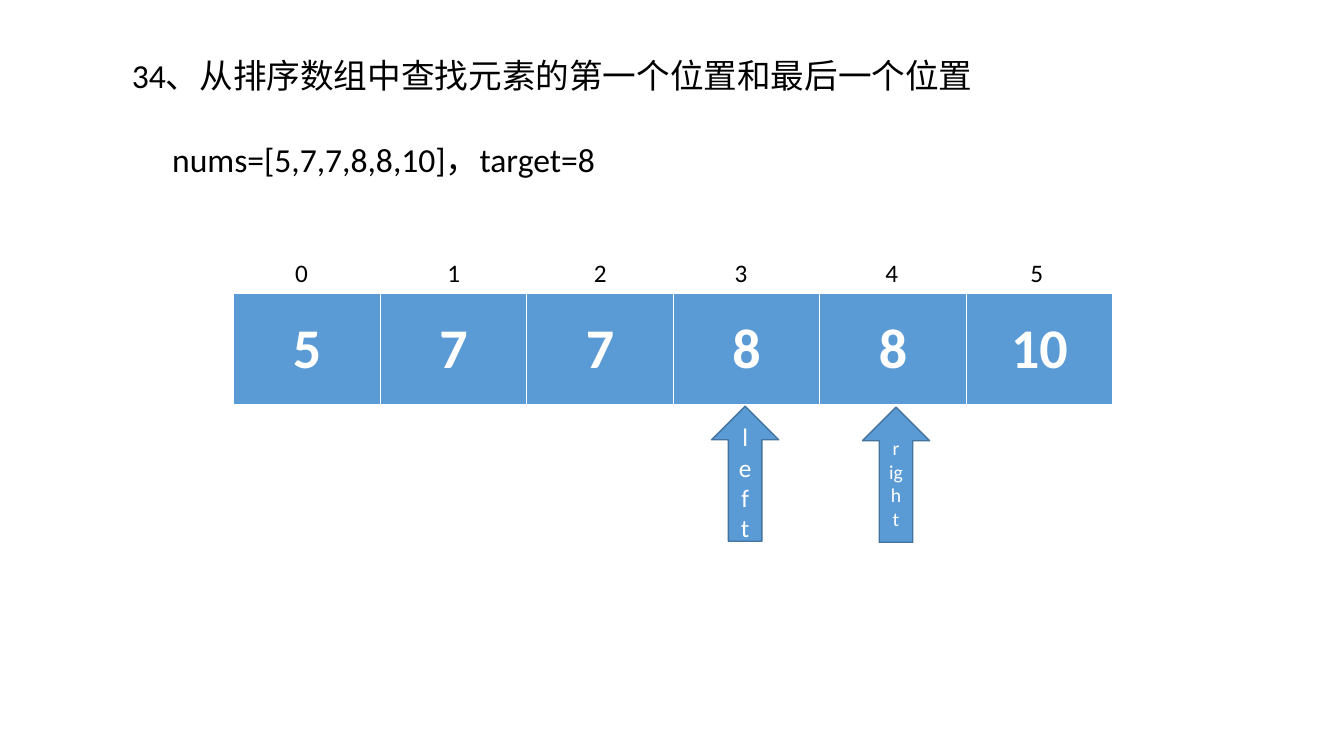
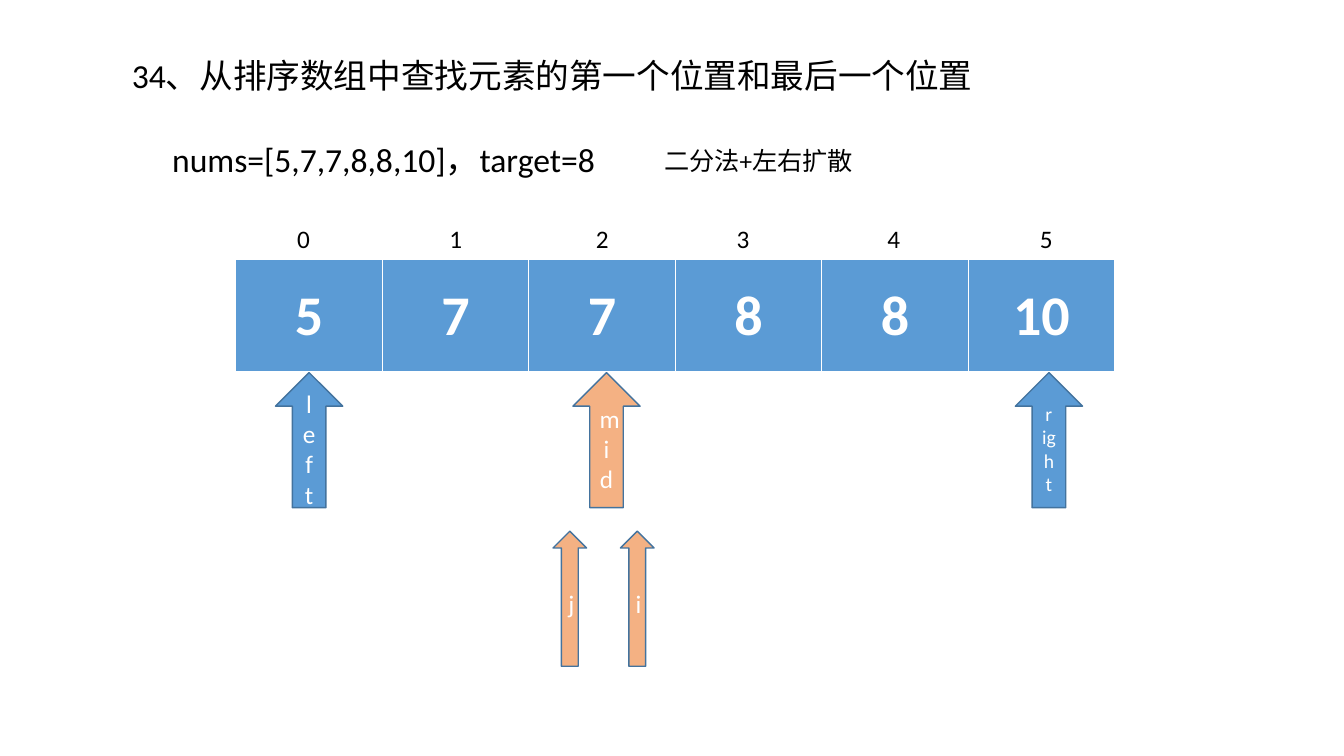
from dataclasses import dataclass

import lxml.etree
import pptx
import pptx.dml.color
import pptx.enum.lang
import pptx.enum.shapes
import pptx.enum.text
import pptx.oxml.ns
import pptx.util


@dataclass(frozen=True)
class Theme:
    font: str = "Calibri"
    ink: str = "000000"
    paper: str = "FFFFFF"
    blue: str = "5B9BD5"
    outline: str = "43739E"
    orange: str = "F4B183"
    heading_size: int = 24
    value_size: int = 40
    label_size: int = 18
    small_size: int = 14


THEME = Theme()
ALIGN = pptx.enum.text.PP_ALIGN
MIDDLE = pptx.enum.text.MSO_ANCHOR.MIDDLE

# The slide is a grid of 80 columns by 45 rows
SLIDE_WIDTH = pptx.util.Inches(13.33)
SLIDE_HEIGHT = pptx.util.Inches(7.5)
GRID_COLUMNS, GRID_ROWS = 80, 45

# The array, its index labels and its pointers, in grid units
VALUES = (5, 7, 7, 8, 8, 10)
CELL_WIDTH, CELL_HEIGHT = 8.72, 6.72
LABEL_WIDTH, LABEL_HEIGHT = 2.5, 2.45
POINTER_WIDTH, POINTER_HEIGHT = 4, 8.04


def place(left, top, width, height):
    """Turn grid columns and rows into slide lengths."""
    column, row = SLIDE_WIDTH / GRID_COLUMNS, SLIDE_HEIGHT / GRID_ROWS
    return [round(n) for n in (left * column, top * row, width * column, height * row)]


def color(value):
    return pptx.dml.color.RGBColor.from_string(value)


def write_text(frame, text, size=THEME.label_size, ink=THEME.ink, bold=False, align=None):
    """Fill a text frame, one paragraph for each line of text."""
    frame.word_wrap = True
    for number, line in enumerate(text.split("\n")):
        paragraph = frame.add_paragraph() if number else frame.paragraphs[0]
        paragraph.alignment = align
        run = paragraph.add_run()
        run.text = line
        run.font.name = THEME.font
        run.font.size = pptx.util.Pt(size)
        run.font.bold = bold
        run.font.color.rgb = color(ink)
        run.font.language_id = pptx.enum.lang.MSO_LANGUAGE_ID.SIMPLIFIED_CHINESE


def add_text(slide, text, left, top, width, height, grow=True, **text_format):
    frame = slide.shapes.add_textbox(*place(left, top, width, height)).text_frame
    write_text(frame, text, **text_format)
    if grow:
        frame.auto_size = pptx.enum.text.MSO_AUTO_SIZE.SHAPE_TO_FIT_TEXT


def set_borders(cell):
    """White cell borders, heavier at the bottom."""
    properties = cell._tc.get_or_add_tcPr()
    qualified = pptx.oxml.ns.qn
    for side, points in (("L", 1), ("R", 1), ("T", 1), ("B", 3)):
        line = lxml.etree.SubElement(properties, qualified(f"a:ln{side}"),
                                     w=str(pptx.util.Pt(points)))
        fill = lxml.etree.SubElement(line, qualified("a:solidFill"))
        lxml.etree.SubElement(fill, qualified("a:srgbClr"), val=THEME.paper)


def add_array(slide, left, top, label_columns):
    """The array as a one-row table, with index labels above it."""
    count = len(VALUES)
    area = place(left, top, CELL_WIDTH * count, CELL_HEIGHT)
    table = slide.shapes.add_table(1, count, *area).table
    for index, value in enumerate(VALUES):
        cell = table.cell(0, index)
        set_borders(cell)
        cell.fill.solid()
        cell.fill.fore_color.rgb = color(THEME.blue)
        cell.vertical_anchor = MIDDLE
        write_text(cell.text_frame, str(value), size=THEME.value_size,
                   ink=THEME.paper, bold=True, align=ALIGN.CENTER)
    for index, column in enumerate(label_columns):
        add_text(slide, str(index), left + column * CELL_WIDTH, top - LABEL_HEIGHT,
                 LABEL_WIDTH, LABEL_HEIGHT)


def add_pointer(slide, text, center, top, width=POINTER_WIDTH, fill=THEME.blue,
                size=THEME.label_size):
    shape = slide.shapes.add_shape(pptx.enum.shapes.MSO_SHAPE.UP_ARROW,
                                   *place(center - width / 2, top, width, POINTER_HEIGHT))
    shape.shadow.inherit = False
    shape.fill.solid()
    shape.fill.fore_color.rgb = color(fill)
    shape.line.color.rgb = color(THEME.outline)
    shape.line.width = pptx.util.Pt(1)
    shape.text_frame.vertical_anchor = MIDDLE
    write_text(shape.text_frame, text, size=size, ink=THEME.paper, align=ALIGN.CENTER)


def add_search_slide(presentation, left, top, last_label, pointers):
    """Problem statement, array and pointers; each pointer is
    (text, array column, rows below the array, format)."""
    slide = presentation.slides.add_slide(presentation.slide_layouts[6])
    add_text(slide, "34、从排序数组中查找元素的第一个位置和最后一个位置",
             7.26, 3, 51.3, 3, size=THEME.heading_size)
    add_text(slide, "nums=[5,7,7,8,8,10]，target=8", 9.66, 8, 26.8, 3.2,
             grow=False, size=THEME.heading_size)
    add_array(slide, left, top, (0.35, 1.39, 2.39, 3.35, 4.38, last_label))
    for text, column, gap, pointer_format in pointers:
        add_pointer(slide, text, left + column * CELL_WIDTH,
                    top + CELL_HEIGHT + gap, **pointer_format)
    return slide


def main():
    presentation = pptx.Presentation()
    presentation.slide_width = SLIDE_WIDTH
    presentation.slide_height = SLIDE_HEIGHT

    small = {"size": THEME.small_size}
    middle = {"fill": THEME.orange}
    narrow = {"fill": THEME.orange, "width": POINTER_WIDTH / 2}

    # The found range
    add_search_slide(presentation, 13.92, 17.46, 5.37, (
        ("left", 3.49, 0, {}),
        ("r\night", 4.52, 0.06, small),
    ))

    # Binary search, then spreading left and right
    slide = add_search_slide(presentation, 14.04, 15.46, 5.42, (
        ("left", 0.5, 0, {}),
        ("r\night", 5.55, 0, small),
        ("mid", 2.53, 0, middle),
        ("i", 2.74, 9.44, narrow),
        ("j", 2.28, 9.44, narrow),
    ))
    add_text(slide, "二分法+左右扩散", 38.94, 8.34, 13.62, 2.4)

    presentation.save("out.pptx")


if __name__ == "__main__":
    main()
